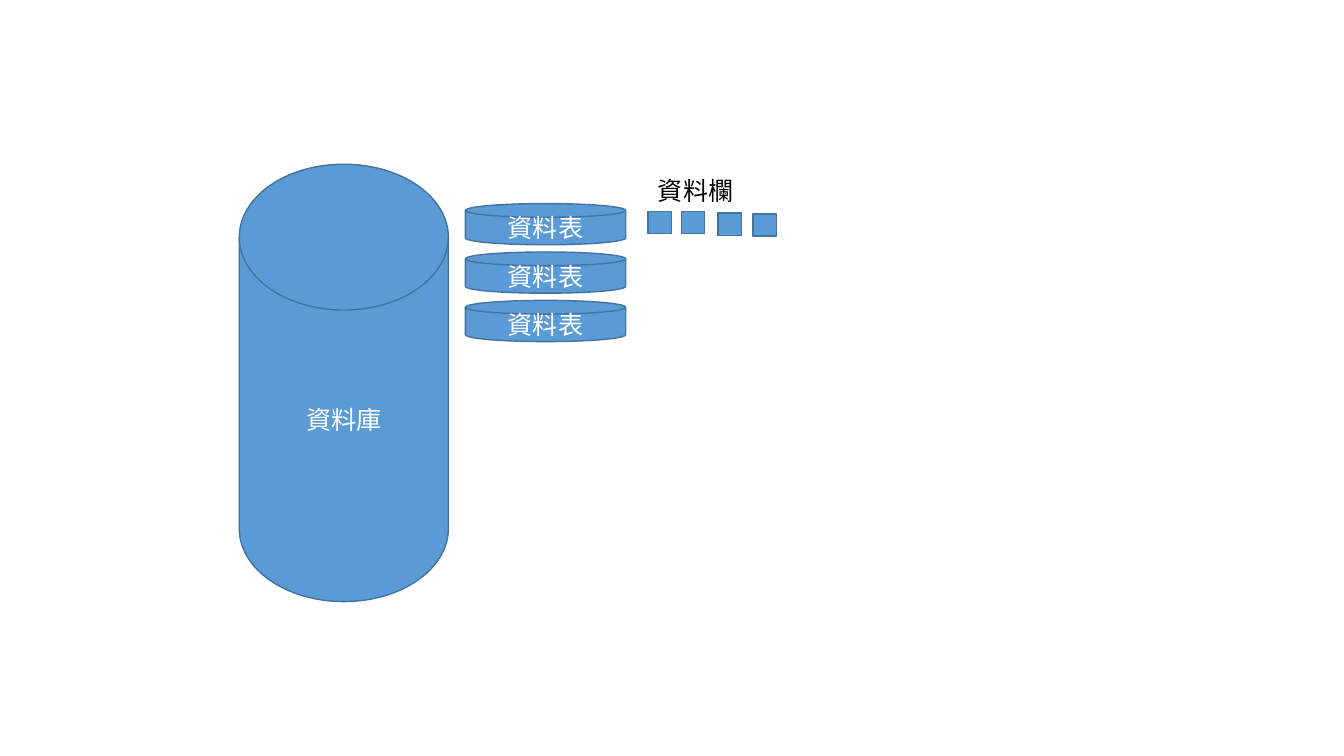
from pptx import Presentation
from pptx.dml.color import RGBColor as Rgb
from pptx.enum.shapes import MSO_SHAPE as Kind
from pptx.enum.text import MSO_ANCHOR as Anchor, MSO_AUTO_SIZE as Fit, PP_ALIGN as Align
from pptx.util import Cm, Pt

COLORS = {"fill": "5B9BD5", "edge": "43739E", "light": "FFFFFF", "dark": "000000"}


class Page:
    """Holds the style and the current slide."""

    font = "Calibri"
    size = Pt(18)

    def __init__(self, deck):
        self.slide = deck.slides.add_slide(deck.slide_layouts[6])

    def color(self, name):
        return Rgb.from_string(COLORS[name])

    def text(self, frame, words, color, align):
        para = frame.paragraphs[0]
        para.alignment = align
        run = para.add_run()
        run.text = words
        run.font.name = self.font
        run.font.size = self.size
        run.font.color.rgb = self.color(color)

    def shape(self, kind, *box):
        item = self.slide.shapes.add_shape(kind, *map(Cm, box))
        item.shadow.inherit = False
        item.fill.solid()
        item.fill.fore_color.rgb = self.color("fill")
        item.line.color.rgb = self.color("edge")
        item.line.width = Pt(1)
        return item

    def disk(self, words, *box):
        frame = self.shape(Kind.FLOWCHART_MAGNETIC_DISK, *box).text_frame
        frame.vertical_anchor = Anchor.MIDDLE
        self.text(frame, words, "light", Align.CENTER)

    def cell(self, *box):
        self.shape(Kind.RECTANGLE, *box)

    def label(self, words, *box):
        frame = self.slide.shapes.add_textbox(*map(Cm, box)).text_frame
        frame.word_wrap = True
        frame.auto_size = Fit.SHAPE_TO_FIT_TEXT
        self.text(frame, words, "dark", Align.LEFT)


def main():
    deck = Presentation()
    deck.slide_width, deck.slide_height = Cm(33.87), Cm(19.05)
    page = Page(deck)

    # Database
    page.disk("資料庫", 6.03, 4.14, 5.27, 11.02)

    # Tables
    for row in range(3):
        page.disk("資料表", 11.73, 5.13 + row * 1.22, 4.04, 1.04)

    # Columns of the first table
    page.label("資料欄", 16.33, 4.29, 2.64, 1.02)
    for left, top in ((16.33, 5.33), (17.17, 5.33), (18.1, 5.37), (18.98, 5.39)):
        page.cell(left, top, 0.59, 0.56)

    deck.save("out.pptx")


if __name__ == "__main__":
    main()
